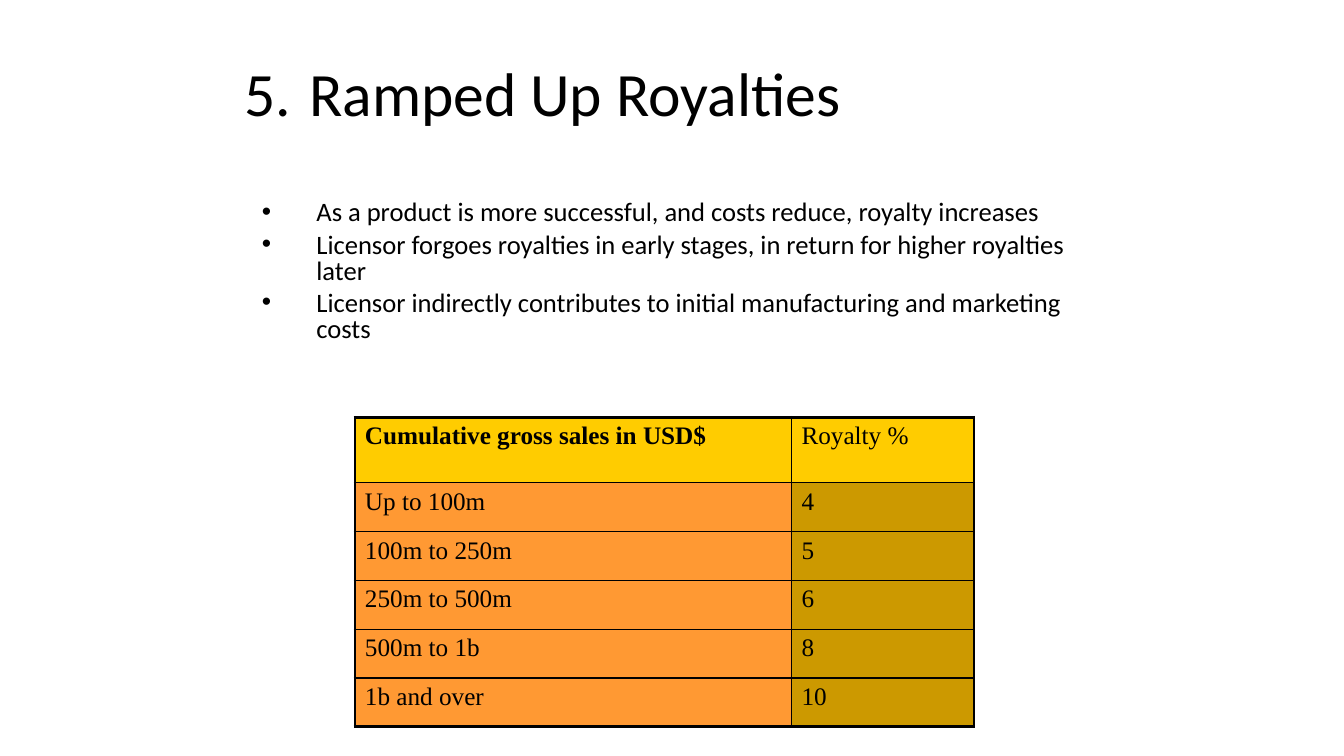
from dataclasses import dataclass

from lxml.etree import SubElement
from pptx import Presentation
from pptx.dml.color import RGBColor
from pptx.enum.text import MSO_ANCHOR
from pptx.oxml.ns import qn
from pptx.util import Inches, Pt

COLORS = {
    "ink": "000000",
    "header": "FFCC00",
    "sales": "FF9933",
    "royalty": "CC9900",
}
BODY_FONT = "Calibri"
TABLE_FONT = "Times New Roman"
COLUMN_WIDTHS = (4.33, 1.81)
HEADER_HEIGHT = 0.65
TABLE_HEIGHT = 3.07
THIN, THICK = 1, 2.25


@dataclass(frozen=True)
class Bullet:
    text: str
    line_spacing: float
    space_before: float = 5


@dataclass(frozen=True)
class RoyaltyTier:
    sales: str
    royalty: str


BULLETS = (
    Bullet("As a product is more successful, and costs reduce, royalty increases", 0.9, 0),
    Bullet("Licensor forgoes royalties in early stages, in return for higher royalties later", 0.8),
    Bullet("Licensor indirectly contributes to initial manufacturing and marketing costs", 0.8),
)
TIERS = (
    RoyaltyTier("Cumulative gross sales in USD$", "Royalty %"),
    RoyaltyTier("Up to 100m", "4"),
    RoyaltyTier("100m to 250m", "5"),
    RoyaltyTier("250m to 500m", "6"),
    RoyaltyTier("500m to 1b", "8"),
    RoyaltyTier("1b and over", "10"),
)


def add_text(paragraph, text: str, font_name: str, size: float, bold: bool = False) -> None:
    run = paragraph.add_run()
    run.text = text
    run.font.name = font_name
    run.font.size = Pt(size)
    run.font.bold = bold
    run.font.color.rgb = RGBColor.from_string(COLORS["ink"])


def add_text_frame(slide, left: float, top: float, width: float, height: float):
    shape = slide.shapes.add_textbox(Inches(left), Inches(top), Inches(width), Inches(height))
    shape.text_frame.word_wrap = True
    return shape.text_frame


def add_title(slide) -> None:
    frame = add_text_frame(slide, 2.33, 0.25, 10.67, 1.42)
    frame.vertical_anchor = MSO_ANCHOR.MIDDLE
    paragraph = frame.paragraphs[0]
    paragraph.line_spacing = 0.9
    add_text(paragraph, "5.\t Ramped Up Royalties", BODY_FONT, 44)


def add_bullets(slide, bullets: tuple[Bullet, ...]) -> None:
    frame = add_text_frame(slide, 2, 1.92, 9, 1.99)
    for index, bullet in enumerate(bullets):
        paragraph = frame.add_paragraph() if index else frame.paragraphs[0]
        paragraph.line_spacing = bullet.line_spacing
        paragraph.space_before = Pt(bullet.space_before)
        properties = paragraph._p.get_or_add_pPr()
        properties.set("marL", str(Inches(1.04)))
        properties.set("indent", str(Inches(-0.54)))
        SubElement(properties, qn("a:buFont"), typeface="Arial")
        SubElement(properties, qn("a:buChar"), char="•")
        add_text(paragraph, bullet.text, BODY_FONT, 19)


def set_borders(cell, widths: dict[str, float]) -> None:
    properties = cell._tc.get_or_add_tcPr()
    for side, width in widths.items():
        line = SubElement(properties, qn(f"a:ln{side}"), w=str(Pt(width)))
        fill = SubElement(line, qn("a:solidFill"))
        SubElement(fill, qn("a:srgbClr"), val=COLORS["ink"])


def add_royalty_table(slide, tiers: tuple[RoyaltyTier, ...]) -> None:
    frame = slide.shapes.add_table(
        len(tiers), len(COLUMN_WIDTHS), Inches(3.52), Inches(4.14),
        Inches(sum(COLUMN_WIDTHS)), Inches(TABLE_HEIGHT),
    )
    table = frame.table
    table.first_row = False
    table.horz_banding = False
    for column, width in zip(table.columns, COLUMN_WIDTHS):
        column.width = Inches(width)
    last_row, last_column = len(tiers) - 1, len(COLUMN_WIDTHS) - 1
    tier_height = (TABLE_HEIGHT - HEADER_HEIGHT) / last_row
    for row, tier in enumerate(tiers):
        table.rows[row].height = Inches(tier_height if row else HEADER_HEIGHT)
        for column, (text, color) in enumerate(((tier.sales, "sales"), (tier.royalty, "royalty"))):
            cell = table.cell(row, column)
            set_borders(cell, {
                "L": THICK if column == 0 else THIN,
                "R": THICK if column == last_column else THIN,
                "T": THICK if row == 0 else THIN,
                "B": THICK if row == last_row else THIN,
            })
            cell.fill.solid()
            cell.fill.fore_color.rgb = RGBColor.from_string(COLORS[color if row else "header"])
            add_text(cell.text_frame.paragraphs[0], text, TABLE_FONT, 18, row == column == 0)


def main() -> None:
    presentation = Presentation()
    presentation.slide_width = Inches(13.33)
    presentation.slide_height = Inches(7.5)
    slide = presentation.slides.add_slide(presentation.slide_layouts[6])
    add_title(slide)
    add_bullets(slide, BULLETS)
    add_royalty_table(slide, TIERS)
    presentation.save("out.pptx")


if __name__ == "__main__":
    main()
